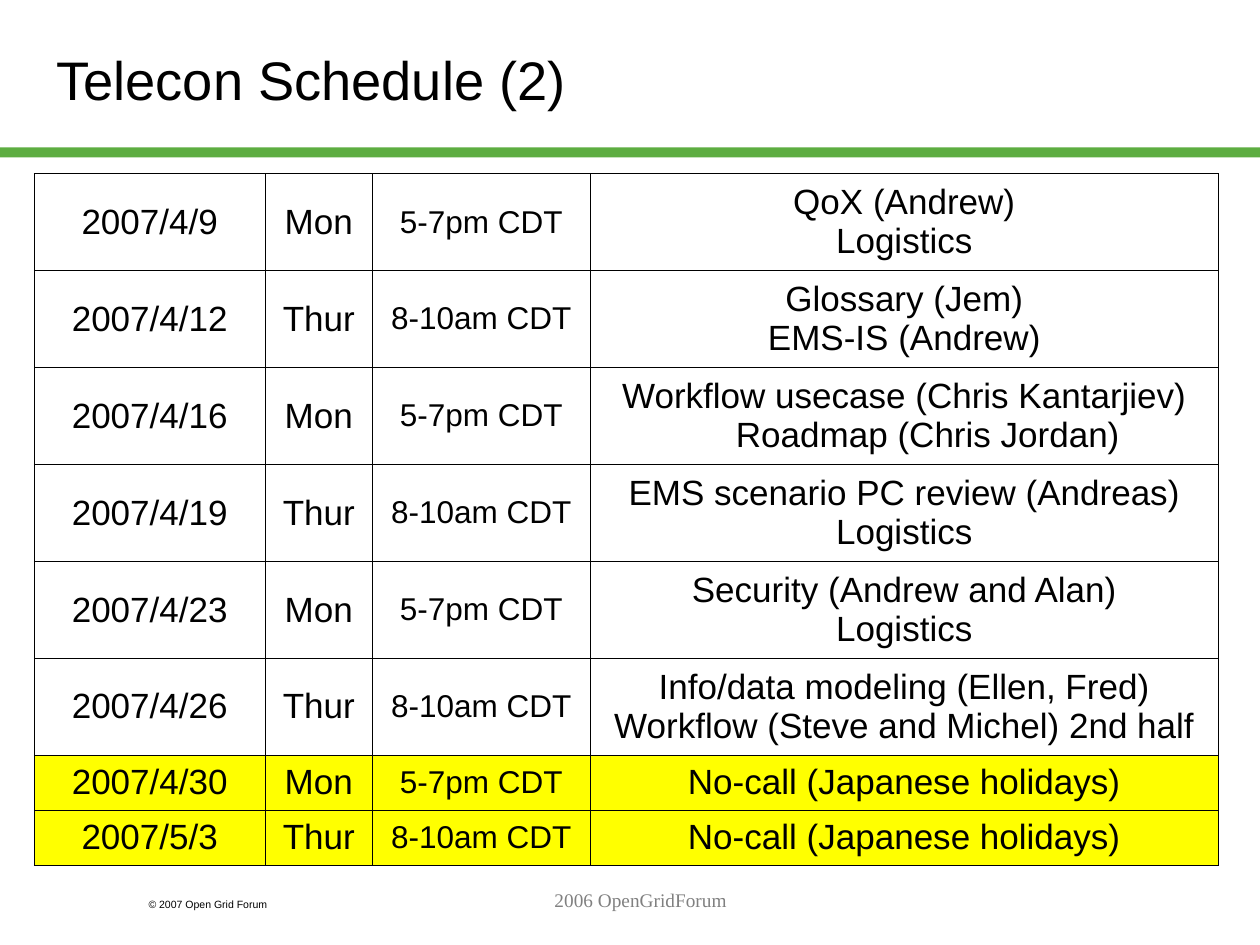
from lxml import etree
from pptx import Presentation
from pptx.dml.color import RGBColor
from pptx.enum.shapes import MSO_SHAPE
from pptx.enum.text import MSO_ANCHOR, PP_ALIGN
from pptx.oxml.ns import qn
from pptx.util import Pt

RECTANGLE = MSO_SHAPE.RECTANGLE
MIDDLE, TOP = MSO_ANCHOR.MIDDLE, MSO_ANCHOR.TOP
CENTER, LEFT = PP_ALIGN.CENTER, PP_ALIGN.LEFT


def color(hex_string):
    return RGBColor.from_string(hex_string)


def style_paragraph(paragraph, size, alignment, font_name="Arial", font_color="000000"):
    paragraph.alignment = alignment
    paragraph.font.size = Pt(size)
    paragraph.font.name = font_name
    paragraph.font.color.rgb = color(font_color)


presentation = Presentation()
presentation.slide_width = Pt(720)
presentation.slide_height = Pt(540)
slide = presentation.slides.add_slide(presentation.slide_layouts[6])

title_rule = slide.shapes.add_shape(RECTANGLE, Pt(0), Pt(84.2), Pt(720), Pt(5.8))
title_rule.shadow.inherit = False
title_rule.fill.solid()
title_rule.fill.fore_color.rgb = color("5DAD41")
title_rule.line.fill.background()

text_boxes = [
    ("© 2007 Open Grid Forum", (77.8, 509.8, 108, 14.4), TOP, 6, LEFT, "Arial", "000000"),
    ("Telecon Schedule (2)", (25.2, 12.2, 640.8, 65.5), MIDDLE, 31, LEFT, "Arial", "000000"),
    ("2006 OpenGridForum", (156.2, 504, 419.8, 36), TOP, 11, CENTER, "Times New Roman", "808080"),
]
for text, box, anchor, size, alignment, font_name, font_color in text_boxes:
    text_frame = slide.shapes.add_textbox(*map(Pt, box)).text_frame
    text_frame.word_wrap = True
    text_frame.vertical_anchor = anchor
    text_frame.text = text
    style_paragraph(text_frame.paragraphs[0], size, alignment, font_name, font_color)

MONDAY = ("Mon", "5-7pm CDT")
THURSDAY = ("Thur", "8-10am CDT")
NO_CALL = "No-call (Japanese holidays)"
calls = [
    ("2007/4/9", *MONDAY, "QoX (Andrew)\nLogistics"),
    ("2007/4/12", *THURSDAY, "Glossary (Jem)\nEMS-IS (Andrew)"),
    ("2007/4/16", *MONDAY, "Workflow usecase (Chris Kantarjiev) Roadmap (Chris Jordan)"),
    ("2007/4/19", *THURSDAY, "EMS scenario PC review (Andreas)\nLogistics"),
    ("2007/4/23", *MONDAY, "Security (Andrew and Alan)\nLogistics"),
    ("2007/4/26", *THURSDAY, "Info/data modeling (Ellen, Fred)\nWorkflow (Steve and Michel) 2nd half"),
    ("2007/4/30", *MONDAY, NO_CALL),
    ("2007/5/3", *THURSDAY, NO_CALL),
]
column_widths = [132, 61.2, 124.6, 358.8]
row_heights = [31.4 if call[-1] == NO_CALL else 55.4 for call in calls]
TIME_COLUMN = 2

table = slide.shapes.add_table(
    len(calls), len(column_widths), Pt(19.6), Pt(99.2),
    Pt(sum(column_widths)), Pt(sum(row_heights)),
).table
table.first_row = False
table.horz_banding = False
for column, width in zip(table.columns, column_widths):
    column.width = Pt(width)

for row, height, call in zip(table.rows, row_heights, calls):
    row.height = Pt(height)
    for column_index, (cell, text) in enumerate(zip(row.cells, call)):
        is_time = column_index == TIME_COLUMN
        cell.vertical_anchor = MIDDLE
        cell.text = text
        for paragraph in cell.text_frame.paragraphs:
            properties = paragraph._p.get_or_add_pPr()
            properties.set("marL", str(Pt(27)))
            properties.set("indent", str(Pt(-27)))
            style_paragraph(paragraph, 18 if is_time else 20, CENTER)

        cell_properties = cell._tc.get_or_add_tcPr()
        for side in ("a:lnL", "a:lnR", "a:lnT", "a:lnB"):
            border = etree.SubElement(cell_properties, qn(side), w=str(Pt(0.45)))
            border_fill = etree.SubElement(border, qn("a:solidFill"))
            etree.SubElement(border_fill, qn("a:srgbClr"), val="000000")

        if call[-1] == NO_CALL:
            cell.fill.solid()
            cell.fill.fore_color.rgb = color("FFFF00")
        elif is_time:
            cell.fill.background()
        else:
            cell.fill.solid()
            cell.fill.fore_color.rgb = color("FFFFFF")

presentation.save("out.pptx")
